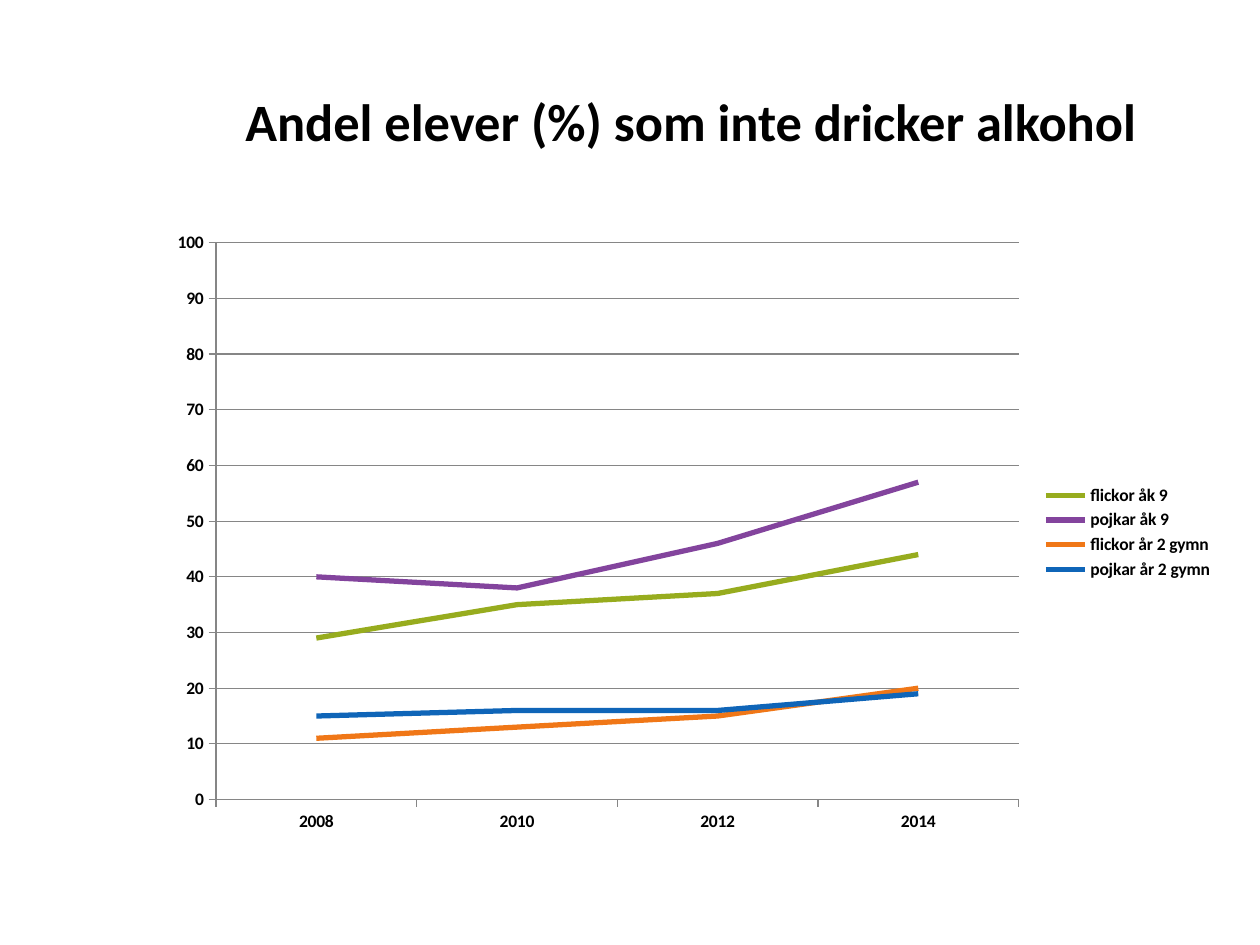
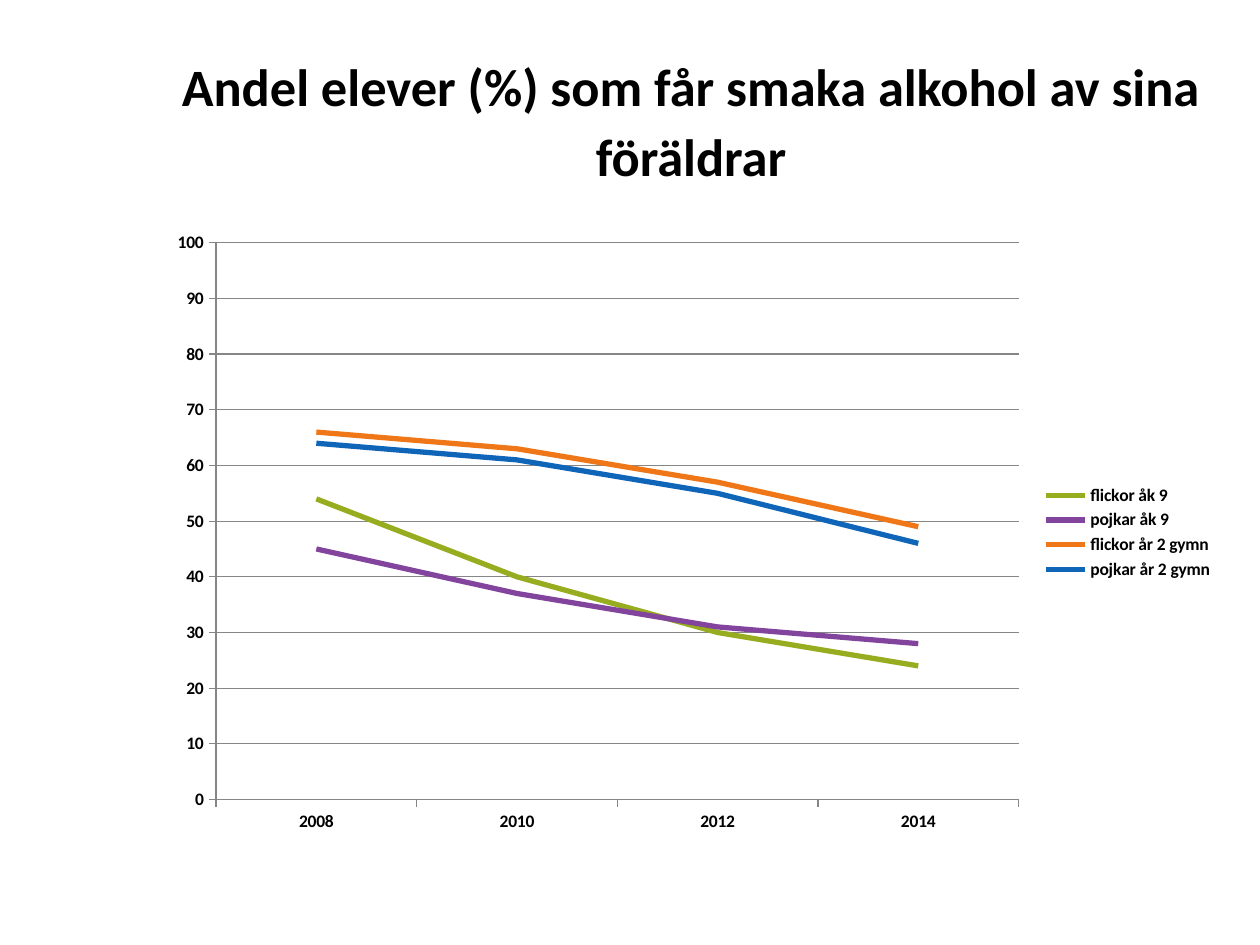
from dataclasses import dataclass

from pptx import Presentation
from pptx.chart import data as chart_data
from pptx.dml.color import RGBColor
from pptx.enum import chart as chart_enum
from pptx.enum import text as text_enum
from pptx.util import Inches, Pt


@dataclass(frozen=True)
class Theme:
    font: str = "Calibri"
    ink: RGBColor = RGBColor(0x00, 0x00, 0x00)
    background: RGBColor = RGBColor(0xFF, 0xFF, 0xFF)
    grid: RGBColor = RGBColor(0x86, 0x86, 0x86)
    title_size: Pt = Pt(30)
    title_spacing: Pt = Pt(40)
    chart_size: Pt = Pt(10)
    series_width: Pt = Pt(3)
    grid_width: Pt = Pt(0.75)


@dataclass(frozen=True)
class PupilGroup:
    name: str
    color: RGBColor


@dataclass(frozen=True)
class Survey:
    question: str
    shares: tuple[tuple[int, ...], ...]


THEME = Theme()
LEFT, WIDTH = Inches(1.24), Inches(8.49)
TITLE_BOX = LEFT, Inches(0.3), WIDTH, Inches(1.25)
CHART_BOX = LEFT, Inches(1.75), WIDTH, Inches(4.95)
TITLE_ONLY = 5

YEARS = ("2008", "2010", "2012", "2014")
GROUPS = (
    PupilGroup("flickor åk 9", RGBColor(0x97, 0xAC, 0x1E)),
    PupilGroup("pojkar åk 9", RGBColor(0x83, 0x44, 0x9D)),
    PupilGroup("flickor år 2 gymn", RGBColor(0xF0, 0x77, 0x17)),
    PupilGroup("pojkar år 2 gymn", RGBColor(0x0F, 0x65, 0xB8)),
)
SURVEYS = (
    Survey(
        "Andel elever (%) som inte dricker alkohol",
        ((29, 35, 37, 44), (40, 38, 46, 57), (11, 13, 15, 20), (15, 16, 16, 19)),
    ),
    Survey(
        "Andel elever (%) som får smaka alkohol av sina föräldrar",
        ((54, 40, 30, 24), (45, 37, 31, 28), (66, 63, 57, 49), (64, 61, 55, 46)),
    ),
)


def style_font(font, size: Pt) -> None:
    font.name = THEME.font
    font.size = size
    font.bold = True
    font.color.rgb = THEME.ink


def style_line(line, color: RGBColor, width: Pt) -> None:
    line.color.rgb = color
    line.width = width


def draw_title(slide, question: str) -> None:
    title = slide.shapes.title
    title.left, title.top, title.width, title.height = TITLE_BOX
    frame = title.text_frame
    frame.text = question
    frame.word_wrap = True
    frame.auto_size = text_enum.MSO_AUTO_SIZE.NONE
    frame.vertical_anchor = text_enum.MSO_ANCHOR.MIDDLE
    paragraph = frame.paragraphs[0]
    paragraph.alignment = text_enum.PP_ALIGN.CENTER
    paragraph.line_spacing = THEME.title_spacing
    style_font(paragraph.runs[0].font, THEME.title_size)


def draw_trends(slide, shares: tuple[tuple[int, ...], ...]) -> None:
    trend_data = chart_data.CategoryChartData(number_format="General")
    trend_data.categories = YEARS
    for group, values in zip(GROUPS, shares):
        trend_data.add_series(group.name, values)
    chart = slide.shapes.add_chart(
        chart_enum.XL_CHART_TYPE.LINE, *CHART_BOX, trend_data
    ).chart
    chart.has_title = False
    style_font(chart.font, THEME.chart_size)

    chart.has_legend = True
    chart.legend.position = chart_enum.XL_LEGEND_POSITION.RIGHT
    chart.legend.include_in_layout = False
    style_font(chart.legend.font, THEME.chart_size)

    for axis in (chart.category_axis, chart.value_axis):
        axis.major_tick_mark = chart_enum.XL_TICK_MARK.OUTSIDE
        axis.minor_tick_mark = chart_enum.XL_TICK_MARK.NONE
        style_font(axis.tick_labels.font, THEME.chart_size)
        style_line(axis.format.line, THEME.grid, THEME.grid_width)
    percent = chart.value_axis
    percent.minimum_scale, percent.maximum_scale, percent.major_unit = 0, 100, 10
    percent.has_major_gridlines = True
    style_line(percent.major_gridlines.format.line, THEME.grid, THEME.grid_width)

    plot = chart.plots[0]
    plot.vary_by_categories = False
    for group, trend in zip(GROUPS, plot.series):
        trend.smooth = False
        trend.marker.style = chart_enum.XL_MARKER_STYLE.NONE
        style_line(trend.format.line, group.color, THEME.series_width)


def draw_survey(deck, survey: Survey) -> None:
    slide = deck.slides.add_slide(deck.slide_layouts[TITLE_ONLY])
    slide.background.fill.solid()
    slide.background.fill.fore_color.rgb = THEME.background
    draw_title(slide, survey.question)
    draw_trends(slide, survey.shares)


def main() -> None:
    deck = Presentation()
    deck.slide_width, deck.slide_height = Inches(10), Inches(7.5)
    for survey in SURVEYS:
        draw_survey(deck, survey)
    deck.save("out.pptx")


if __name__ == "__main__":
    main()
